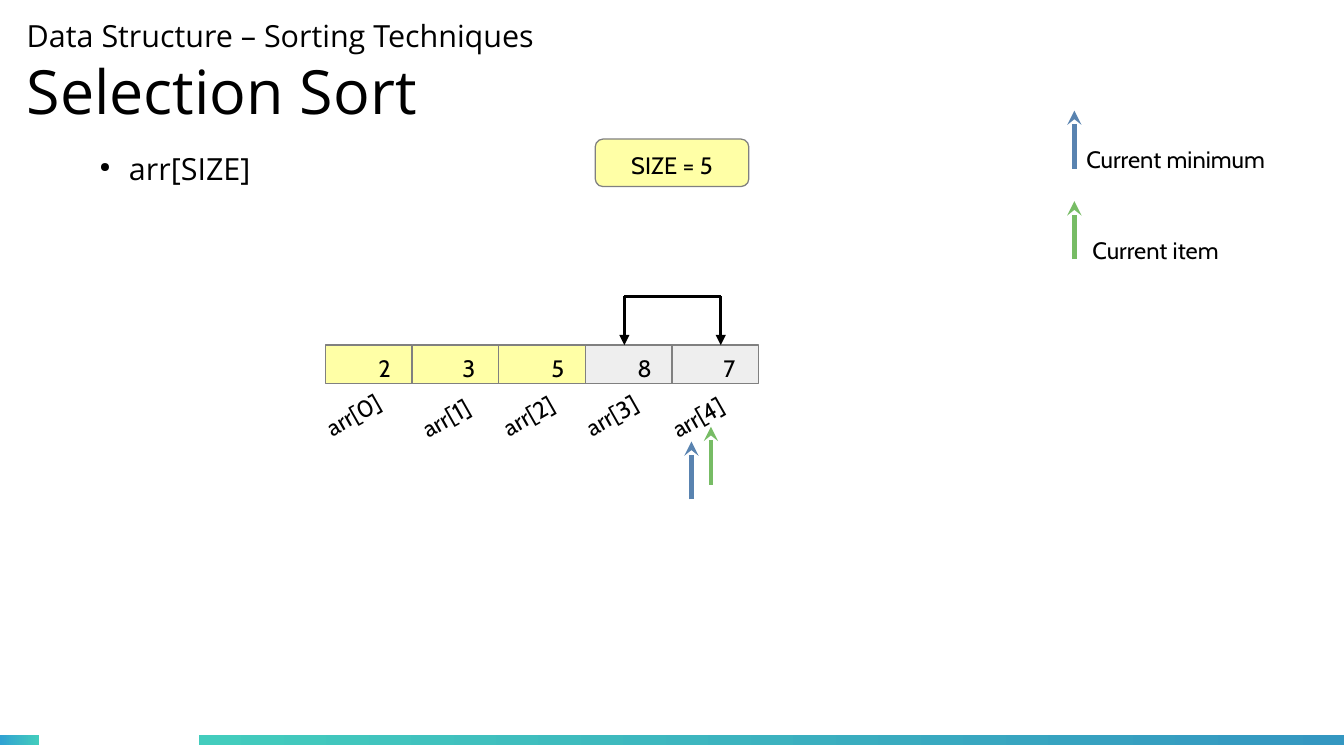
from lxml.etree import SubElement
from pptx import Presentation
from pptx.dml.color import RGBColor
from pptx.enum.shapes import MSO_CONNECTOR, MSO_SHAPE
from pptx.enum.text import MSO_ANCHOR
from pptx.oxml.ns import qn
from pptx.util import Pt

HUES = {"ink": "000000", "edge": "808080", "done": "FFFFA6", "open": "EEEEEE",
        "least": "5983B0", "item": "77BC65", "teal": "43CCBD",
        "blue": "30A2D2", "deep": "3497C1"}


def hue(name):
    return RGBColor.from_string(HUES[name])


def write(para, text, size=14, face="Cabin"):
    run = para.add_run()
    run.text = text
    run.font.size = Pt(size)
    run.font.name = face
    run.font.color.rgb = hue("ink")


def frame(shape, left=7.2, top=3.6):
    body = shape.text_frame
    body.word_wrap = True
    body.margin_left = body.margin_right = Pt(left)
    body.margin_top = body.margin_bottom = Pt(top)
    body.vertical_anchor = MSO_ANCHOR.TOP
    return body


def label(slide, x, y, w, h, text, turn=0):
    box = slide.shapes.add_textbox(Pt(x), Pt(y), Pt(w), Pt(h))
    box.rotation = turn
    write(frame(box).paragraphs[0], text)


def block(slide, kind, x, y, w, h, fill):
    shape = slide.shapes.add_shape(kind, Pt(x), Pt(y), Pt(w), Pt(h))
    shape.shadow.inherit = False
    shape.fill.solid()
    shape.fill.fore_color.rgb = hue(fill)
    shape.line.color.rgb = hue("edge")
    shape.line.width = Pt(0)
    return shape


def line(slide, x1, y1, x2, y2, color="ink", width=0, head=None):
    link = slide.shapes.add_connector(
        MSO_CONNECTOR.STRAIGHT, Pt(x1), Pt(y1), Pt(x2), Pt(y2))
    link.line.color.rgb = hue(color)
    link.line.width = Pt(width)
    if head:
        SubElement(link.line._get_or_add_ln(), qn("a:tailEnd"), type=head)
    SubElement(link._element.spPr, qn("a:effectLst"))


def marker(slide, x, y, color):
    line(slide, x, y + 34.2, x, y, color, 2.83, "stealth")


def footer(slide, y):
    for x, w, stops in ((0, 23, ("blue", "teal")), (117.4, 676.8, ("teal", "deep"))):
        bar = slide.shapes.add_shape(MSO_SHAPE.RECTANGLE, Pt(x), Pt(y), Pt(w), Pt(5.8))
        bar.shadow.inherit = False
        bar.line.fill.background()
        bar.fill.gradient()
        bar.fill.gradient_angle = 0
        for stop, name in zip(bar.fill.gradient_stops, stops):
            stop.color.rgb = hue(name)


def title(slide, x, y, w, h):
    box = slide.shapes.add_textbox(Pt(x), Pt(y), Pt(w), Pt(h))
    body = frame(box, 0, 0)
    body.vertical_anchor = MSO_ANCHOR.MIDDLE
    para = body.paragraphs[0]
    write(para, "Data Structure – Sorting Techniques", 18, "Open Sans")
    para.add_line_break()
    write(para, "Selection Sort", 36, "Open Sans")


def bullet(slide, x, y, w, h):
    box = slide.shapes.add_textbox(Pt(x), Pt(y), Pt(w), Pt(h))
    para = frame(box).paragraphs[0]
    props = para._p.get_or_add_pPr()
    props.set("marL", str(Pt(17.28)))
    props.set("indent", str(-Pt(17.28)))
    tint = SubElement(props, qn("a:buClr"))
    SubElement(tint, qn("a:srgbClr"), val=HUES["ink"])
    SubElement(props, qn("a:buSzPct"), val="45000")
    SubElement(props, qn("a:buChar"), char="●")
    write(para, "arr[SIZE]", 18, "Open Sans")


def badge(slide, x, y, w, h):
    shape = block(slide, MSO_SHAPE.ROUNDED_RECTANGLE, x, y, w, h, "done")
    shape.adjustments[0] = 0.167
    write(frame(shape, 8.6, 5.8).paragraphs[0], "SIZE = 5")


def legend(slide, x, y):
    rows = (("Current minimum", "least", 0), ("Current item", "item", 3.6))
    for row, (text, color, shift) in enumerate(rows):
        top = y + row * 53.5
        marker(slide, x, top, color)
        label(slide, x + shift, top + 16.6, 138, 26, text)


def array(slide, x, y, w, h):
    step = w / 5
    cells = ((2, "done", 18.7, -7.9, 28), (3, "done", 15.8, 0.7, 40.3),
             (5, "done", 18.7, -5.8, 28), (8, "open", 18.7, -7.9, 28),
             (7, "open", 16.6, -5, 40.3))
    for i, (value, fill, inset, shift, tall) in enumerate(cells):
        left = x + i * step
        cell = block(slide, MSO_SHAPE.RECTANGLE, left, y, step, h, fill)
        body = frame(cell, inset, 5)
        body.margin_right = 0
        write(body.paragraphs[0], str(value))
        label(slide, left + shift, y + 25.6, 61.9, tall, f"arr[{i}]", 330.4)
    marker(slide, x + 216, y + 56.9, "least")
    marker(slide, x + 227.5, y + 48.2, "item")


def swap(slide, x, y, w, h):
    line(slide, x, y, x + w, y)
    for left in (x, x + w):
        line(slide, left, y, left, y + h, head="triangle")


def main():
    deck = Presentation()
    deck.slide_width, deck.slide_height = Pt(793.44), Pt(446.4)
    slide = deck.slides.add_slide(deck.slide_layouts[6])
    footer(slide, 434.2)
    title(slide, 15.8, 5.8, 553, 73.4)
    bullet(slide, 51.8, 85, 117.4, 31.7)
    badge(slide, 351.4, 82.1, 90.7, 28.1)
    legend(slide, 634.3, 65.3)
    array(slide, 192.2, 203.8, 255.6, 22.5)
    swap(slide, 368.6, 175, 56.9, 28.8)
    deck.save("out.pptx")


if __name__ == "__main__":
    main()
